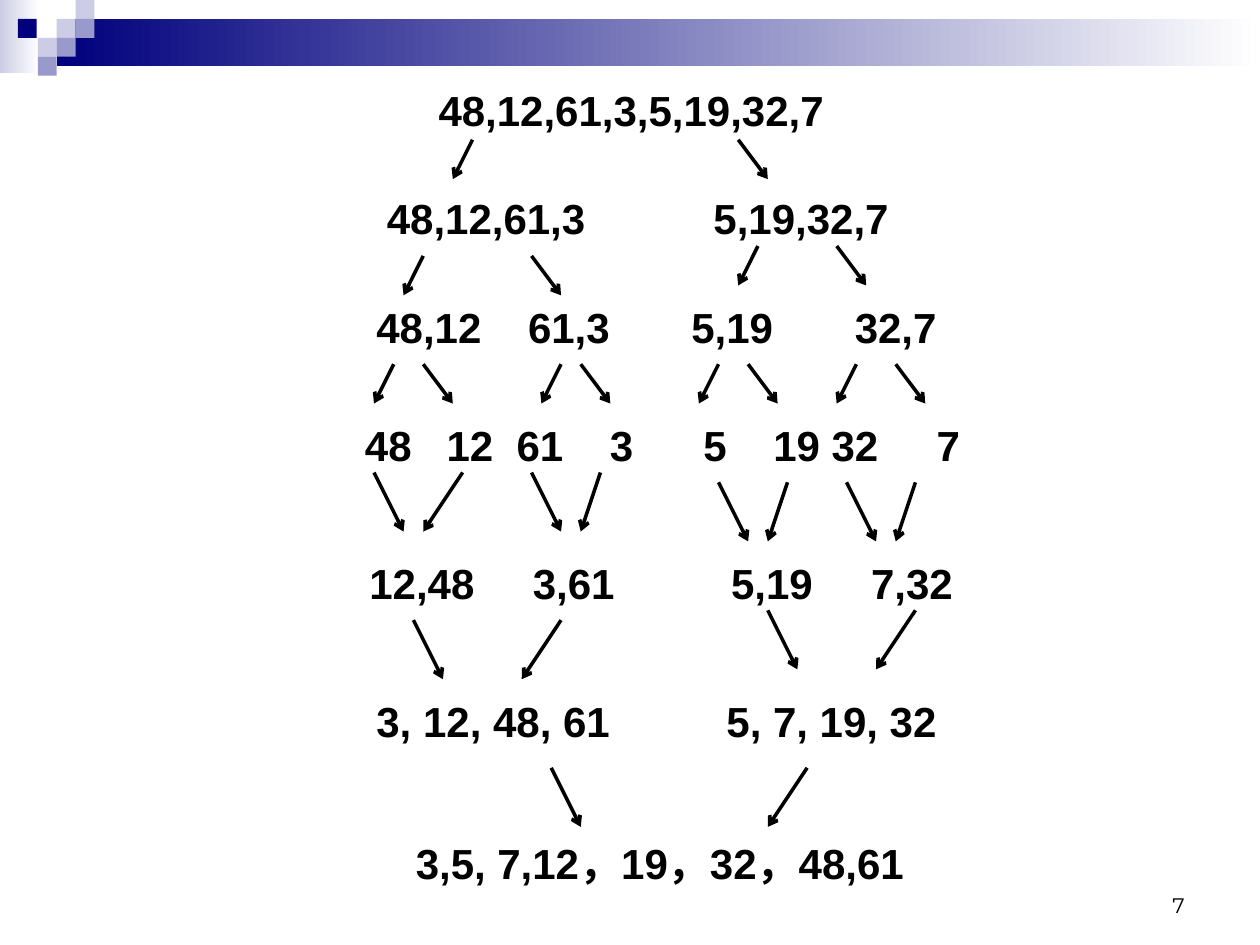
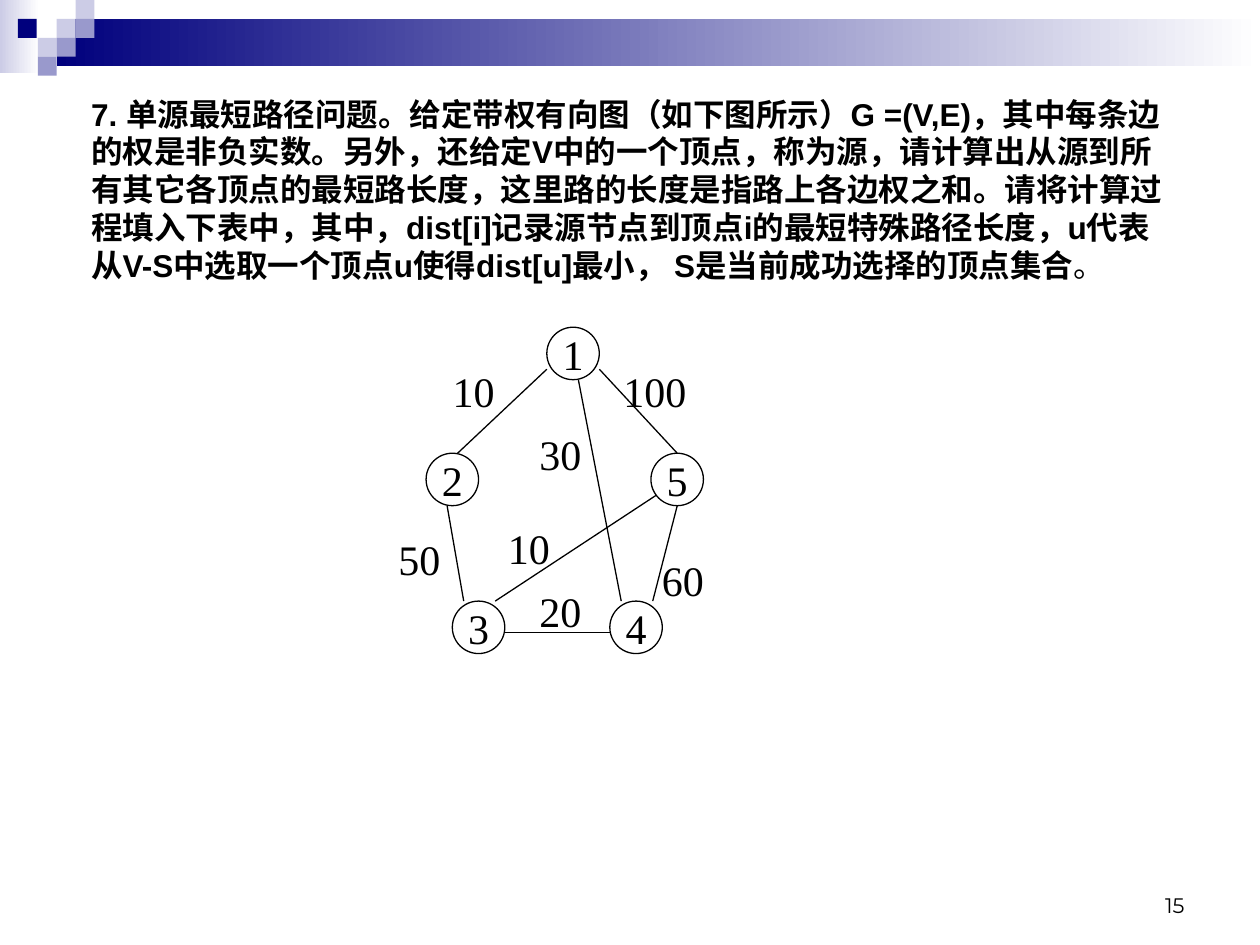
from lxml import etree
from pptx import Presentation
from pptx import util as u
from pptx.dml import color as col
from pptx.enum import shapes as sh
from pptx.enum import text as tx
from pptx.oxml import ns

HUES = {"ink": "000000", "navy": "00007D", "mid": "9999CC",
        "pale": "CCCCE6", "white": "FFFFFF"}
SANS, SERIF, FOOT = "Arial", "Times New Roman", "Montserrat"
SPACE = 20 / 3   # width of a space in 24 pt Arial; a digit takes two
STEP = 45 / 8    # grid on which the tree's arrows lie


def hue(name):
    return col.RGBColor.from_string(HUES[name])


def add_tag(parent, tag, **attrs):
    return etree.SubElement(parent, ns.qn(tag), attrs)


def write(frame, words, size=24, font=SERIF, bold=False, align="LEFT",
          anchor="TOP", wrap=True, stops=()):
    """Fill a frame with one paragraph; words is a string or (string, bold) runs."""
    frame.word_wrap = wrap
    frame.vertical_anchor = getattr(tx.MSO_ANCHOR, anchor)
    para = frame.paragraphs[0]
    para.alignment = getattr(tx.PP_ALIGN, align)
    if stops:
        tabs = add_tag(para._p.get_or_add_pPr(), "a:tabLst")
        for stop in stops:
            add_tag(tabs, "a:tab", pos=str(int(u.Pt(stop))), algn="l")
    runs = [(words, bold)] if isinstance(words, str) else words
    for part, heavy in runs:
        run = para.add_run()
        run.text = part
        run.font.size, run.font.name, run.font.bold = u.Pt(size), font, heavy
        run.font.color.rgb = hue("ink")


def label(slide, x, y, w, h, words, **style):
    box = slide.shapes.add_textbox(u.Pt(x), u.Pt(y), u.Pt(w), u.Pt(h))
    write(box.text_frame, words, **style)


def block(slide, x, y, w, h, fill=None, fade=False, kind="RECTANGLE"):
    item = slide.shapes.add_shape(getattr(sh.MSO_SHAPE, kind),
                                  u.Pt(x), u.Pt(y), u.Pt(w), u.Pt(h))
    item.shadow.inherit = False
    item.line.fill.background()
    if fade:
        item.fill.gradient()
        item.fill.gradient_angle = 0
        for stop, name in zip(item.fill.gradient_stops, (fill, "white")):
            stop.color.rgb = hue(name)
    elif fill:
        item.fill.solid()
        item.fill.fore_color.rgb = hue(fill)
    else:
        item.fill.background()
    return item


def line(slide, x1, y1, x2, y2, width=0.75, arrow=False):
    item = slide.shapes.add_connector(sh.MSO_CONNECTOR.STRAIGHT,
                                      u.Pt(x1), u.Pt(y1), u.Pt(x2), u.Pt(y2))
    item.line.color.rgb = hue("ink")
    item.line.width = u.Pt(width)
    if arrow:
        add_tag(item.line._get_or_add_ln(), "a:tailEnd", type="arrow")
    add_tag(item._element.spPr, "a:effectLst")


# Shared header band and page number
def base(deck, page):
    slide = deck.slides.add_slide(deck.slide_layouts[6])
    side = 10.8
    block(slide, 0, 0, 22.5, 42, "pale", fade=True)
    block(slide, 3 * side, side, 720 - 3 * side, 27, "navy", fade=True)
    for c, r, fill in ((3, 1, "pale"), (4, 0, "pale"), (4, 1, "mid"),
                       (2, 2, "pale"), (0.94, 1, "navy"), (3, 2, "mid"),
                       (2, 3, "mid")):
        block(slide, c * side, r * side, side, side, fill)
    label(slide, 516, 492, 168, 36, page, size=12, font=FOOT,
          align="RIGHT", anchor="BOTTOM")
    return slide


# Merge sort tree: rows of numbers with arrows between them
def tree(slide, x, y):
    # left, top, width, words, tab stops in spaces
    rows = (
        (41, 0, 237, "48,12,61,3,5,19,32,7", ()),
        (11.5, 61.5, 360, "48,12,61,3\t5,19,32,7", (28,)),
        (5.5, 123.5, 372, "48,12\t61,3\t5,19\t32,7", (13, 27, 41)),
        (-1, 191, 357, "48\t12\t61\t3\t5\t19\t32\t7",
         (7, 13, 21, 29, 35, 40, 49)),
        (1.5, 270, 350, "12,48\t3,61\t5,19\t7,32", (14, 31, 43)),
        (5.5, 349, 467, "3, 12, 48, 61\t5, 7, 19, 32", (30,)),
        (28, 430, 360, "3,5, 7,12，19，32，48,61", ()),
    )
    for dx, dy, w, words, stops in rows:
        label(slide, x + dx, y + dy, w, 36, words, font=SANS, bold=True,
              stops=[n * SPACE for n in stops])

    # top, drop, then (start, shift) of each arrow, all in grid steps
    arrows = (
        (6.2, 4, ((12, -2), (39, 3))),
        (18, 4, ((7, -2), (18, 3))),
        (17, 4, ((41, -2), (49, 3))),
        (29, 4, ((4, -2), (7, 3), (21, -2), (23, 3),
                 (37, -2), (40, 3), (51, -2), (55, 3))),
        (40, 6, ((2, 3), (11, -4), (18, 3), (25, -2))),
        (41, 6, ((37, 3), (44, -2), (50, 3), (57, -2))),
        (55, 6, ((6, 3), (21, -4))),
        (54, 6, ((42, 3), (57, -4))),
        (70, 6, ((20, 3), (46, -4))),
    )
    for top, drop, marks in arrows:
        for start, shift in marks:
            line(slide, x + start * STEP, y + top * STEP,
                 x + (start + shift) * STEP, y + (top + drop) * STEP,
                 width=2, arrow=True)


# Weighted graph: nodes, edges, weights
def graph(slide, x, y):
    nodes = (("1", 92.5, 0), ("2", 23.5, 72), ("5", 152, 72),
             ("4", 128.5, 156.5), ("3", 38.5, 156.5))
    for name, dx, dy in nodes:
        ring = block(slide, x + dx, y + dy, 30, 30, kind="OVAL")
        ring.line.color.rgb = hue("ink")
        ring.line.width = u.Pt(0.75)
        write(ring.text_frame, name, align="CENTER", anchor="MIDDLE", wrap=False)

    edges = ((92.5, 24, 41.5, 72), (35.5, 102, 45, 156.5),
             (68.5, 174.5, 128.5, 174.5), (167, 102, 153, 156.5),
             (122.5, 24, 167, 72), (110.5, 30, 135, 156.5),
             (63, 156.5, 155, 96))
    for x1, y1, x2, y2 in edges:
        line(slide, x + x1, y + y1, x + x2, y + y2)

    costs = (("10", 31.5, 18), ("20", 81, 144), ("50", 0.5, 114),
             ("100", 129, 18), ("30", 81, 54), ("10", 63, 108),
             ("60", 151, 126))
    for cost, dx, dy in costs:
        label(slide, x + dx, y + dy, 14.4 + 12 * len(cost), 36, cost,
              align="CENTER", anchor="MIDDLE", wrap=False)


# Exercise text
def task(slide, x, y, w, h):
    words = (
        "7. 单源最短路径问题。给定带权有向图（如下图所示）G =(V,E)，其中每条边的权是非负实数。"
        "另外，还给定V中的一个顶点，称为源，请计算出从源到所有其它各顶点的最短路长度，"
        "这里路的长度是指路上各边权之和。请将计算过程填入下表中，其中，"
        "dist[i]记录源节点到顶点i的最短特殊路径长度，"
        "u代表从V-S中选取一个顶点u使得dist[u]最小， S是当前成功选择的顶点集合"
    )
    label(slide, x, y, w, h, ((words, True), ("。", False)), size=18, font=SANS)


def main():
    deck = Presentation()
    deck.slide_width, deck.slide_height = u.Pt(720), u.Pt(540)

    tree(base(deck, "7"), 202.5, 45)

    slide = base(deck, "15")
    task(slide, 45, 50.5, 630, 137)
    graph(slide, 220, 187)

    deck.save("out.pptx")


if __name__ == "__main__":
    main()
